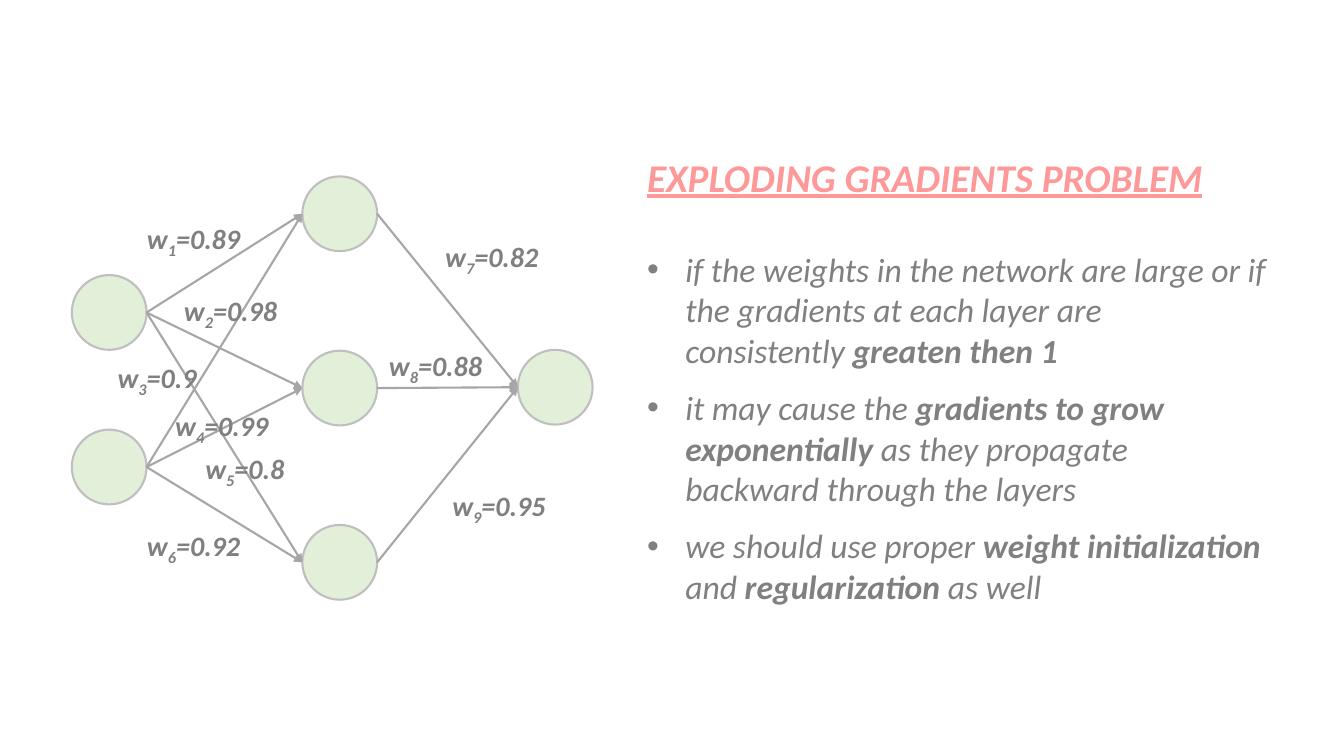
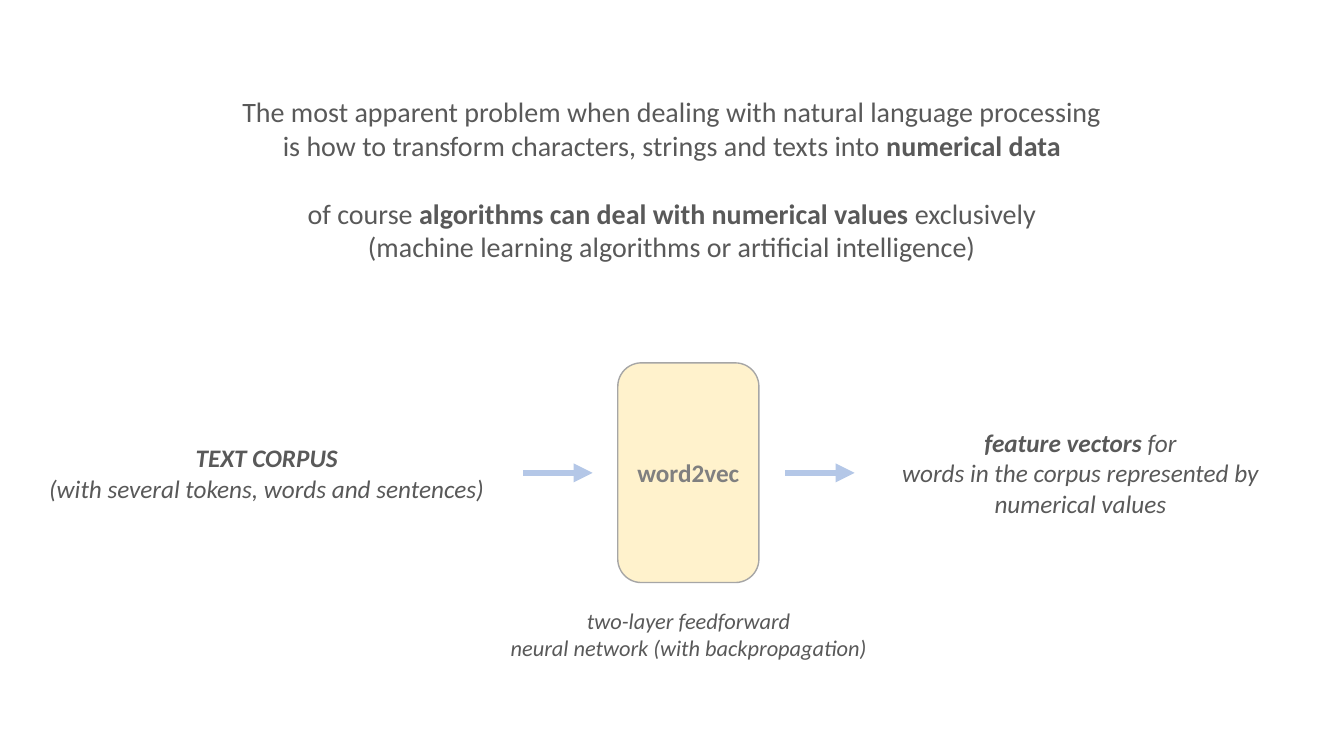
from itertools import product

from lxml.etree import SubElement
from pptx import Presentation
from pptx.dml.color import RGBColor
from pptx.enum.shapes import MSO_CONNECTOR, MSO_SHAPE
from pptx.enum.text import MSO_ANCHOR, MSO_AUTO_SIZE, PP_ALIGN
from pptx.oxml.ns import qn
from pptx.util import Inches, Pt

COLORS = {
    "heading": "FF9999", "gray": "808080", "dark": "595959",
    "node": "E2F0D9", "node_edge": "BFBFBF", "edge": "A6A6A6",
    "flow": "B4C7E7", "model": "FFF2CC",
}
COLUMNS, ROWS = 32, 18
BOLD = {"bold": True}


class Deck:
    """Style, grid and current slide; all lengths are columns and rows."""

    def __init__(self):
        self.prs = Presentation()
        self.prs.slide_width, self.prs.slide_height = Inches(13.333), Inches(7.5)
        self.slide = None

    def new_slide(self):
        self.slide = self.prs.slides.add_slide(self.prs.slide_layouts[6])

    def grid(self, *lengths):
        """Turn alternating columns and rows into slide units."""
        units = (self.prs.slide_width / COLUMNS, self.prs.slide_height / ROWS)
        return [round(n * units[i % 2]) for i, n in enumerate(lengths)]

    def color(self, name):
        return RGBColor.from_string(COLORS[name])

    def fill_text(self, frame, lines, size, color, accent=BOLD, align=PP_ALIGN.CENTER,
                  bullet=False, gaps=None, **style):
        """Fill a frame; parts between ** marks take the accent format."""
        for i, line in enumerate(lines):
            paragraph = frame.paragraphs[0] if i == 0 else frame.add_paragraph()
            paragraph.alignment = align
            if gaps and i in gaps:
                paragraph.space_before = Pt(gaps[i])
            if bullet:
                props = paragraph._p.get_or_add_pPr()
                props.set("marL", str(Inches(0.38)))
                props.set("indent", str(-Inches(0.38)))
                SubElement(props, qn("a:buFont"), typeface="Arial")
                SubElement(props, qn("a:buChar"), char="•")
            for j, part in enumerate(line.split("**")):
                if not part:
                    continue
                run = paragraph.add_run()
                run.text = part
                values = {"name": "Calibri", "size": Pt(size), **style}
                values.update(accent if j % 2 else {})
                baseline = values.pop("baseline", None)
                for attribute, value in values.items():
                    setattr(run.font, attribute, value)
                run.font.color.rgb = self.color(color)
                if baseline:
                    run._r.get_or_add_rPr().set("baseline", str(baseline))

    def text(self, box, lines, size, color, wrap=True, **style):
        frame = self.slide.shapes.add_textbox(*self.grid(*box)).text_frame
        frame.word_wrap = wrap
        frame.auto_size = MSO_AUTO_SIZE.SHAPE_TO_FIT_TEXT
        self.fill_text(frame, lines, size, color, **style)

    def shape(self, kind, box, fill, edge, width):
        shape = self.slide.shapes.add_shape(kind, *self.grid(*box))
        shape.shadow.inherit = False
        shape.fill.solid()
        shape.fill.fore_color.rgb = self.color(fill)
        shape.line.color.rgb = self.color(edge)
        shape.line.width = Pt(width)
        return shape

    def arrow(self, start, end, color, width):
        arrow = self.slide.shapes.add_connector(
            MSO_CONNECTOR.STRAIGHT, *self.grid(*start, *end))
        arrow.line.color.rgb = self.color(color)
        arrow.line.width = Pt(width)
        props = arrow._element.spPr
        SubElement(props.find(qn("a:ln")), qn("a:tailEnd"), type="triangle")
        SubElement(props, qn("a:effectLst"))


def exploding_gradients(deck):
    deck.new_slide()

    # Heading and bullets
    left = 15.17
    deck.text((left, 3.53, 15.12, 1.37), ["EXPLODING GRADIENTS PROBLEM"], 28, "heading",
              align=PP_ALIGN.LEFT, bold=True, italic=True, underline=True)
    points = [
        ("if the weights in the network are large or if the gradients at each layer "
         "are consistently **greaten then 1**", 3.14),
        ("it may cause the **gradients to grow exponentially **as they propagate "
         "backward through the layers", 3.14),
        ("we should use proper **weight initialization **and **regularization** as well",
         2.18),
    ]
    for i, (point, height) in enumerate(points):
        deck.text((left, 5.81 + 3.29 * i, 15.26, height), [point], 24, "gray",
                  align=PP_ALIGN.LEFT, bullet=True, italic=True)

    # Network layers, given by node centres
    radius = 0.89
    inputs = [(2.6, 7.44), (2.6, 11.12)]
    hidden = [(8.09, 5.09 + 4.15 * i) for i in range(3)]
    outputs = [(13.22, 9.22)]
    for x, y in inputs + hidden + outputs:
        deck.shape(MSO_SHAPE.OVAL, (x - radius, y - radius, 2 * radius, 2 * radius),
                   "node", "node_edge", 1.5)
    for (x1, y1), (x2, y2) in [*product(inputs, hidden), *product(hidden, outputs)]:
        deck.arrow((x1 + radius, y1), (x2 - radius, y2), "edge", 1.5)

    # Weights
    weights = [
        ("0.89", 3.1, 5.16), ("0.98", 3.98, 6.86), ("0.9", 2.23, 8.47),
        ("0.99", 3.77, 9.62), ("0.8", 4.32, 10.63), ("0.92", 3.1, 12.46),
        ("0.82", 10.2, 5.59), ("0.88", 8.86, 8.18), ("0.95", 10.37, 11.52),
    ]
    for number, (weight, x, y) in enumerate(weights, 1):
        deck.text((x, y, 3.02, 1.06), [f"w**{number}**={weight}"], 20, "gray",
                  accent={"baseline": -25000}, bold=True, italic=True)


def word_vectors(deck):
    deck.new_slide()

    # Problem statement
    deck.text((5.35, 2.14, 21.29, 4.27), [
        "The most apparent problem when dealing with natural language processing",
        "is how to transform characters, strings and texts into** numerical data**",
        "of course **algorithms can deal with numerical values **exclusively",
        "(machine learning algorithms or artificial intelligence)",
    ], 20, "dark", wrap=False, gaps={2: 24.4})

    # From corpus through the model to vectors
    deck.text((0.82, 10.42, 11.06, 1.7),
              ["**TEXT CORPUS**", "(with several tokens, words and sentences)"],
              18, "dark", wrap=False, italic=True)
    deck.text((11.86, 14.33, 9.07, 1.54),
              ["two-layer feedforward", "neural network (with backpropagation)"],
              16, "dark", wrap=False, italic=True)
    deck.text((20.95, 10.06, 9.55, 2.42),
              ["**feature vectors **for", "words in the corpus represented by",
               "numerical values"], 18, "dark", italic=True)
    flow_row = 11.26
    for x in (12.46, 18.7):
        deck.arrow((x, flow_row), (x + 1.65, flow_row), "flow", 4.5)
    model = deck.shape(MSO_SHAPE.ROUNDED_RECTANGLE, (14.71, 8.64, 3.36, 5.23),
                       "model", "edge", 1)
    model.text_frame.vertical_anchor = MSO_ANCHOR.MIDDLE
    deck.fill_text(model.text_frame, ["word2vec"], 18, "gray", bold=True)


def main():
    deck = Deck()
    exploding_gradients(deck)
    word_vectors(deck)
    deck.prs.save("out.pptx")


if __name__ == "__main__":
    main()
